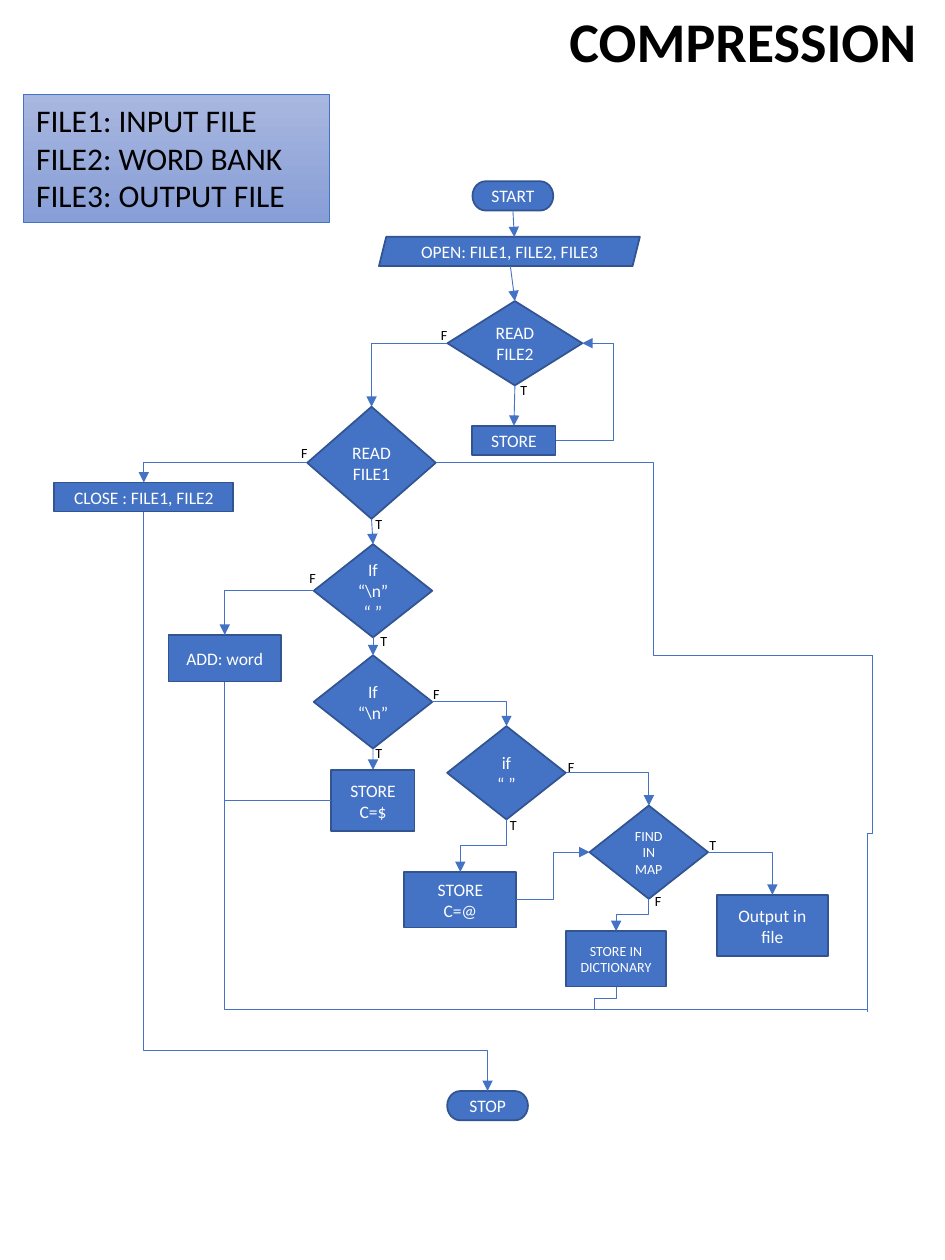
from dataclasses import dataclass

import pptx
import pptx.dml.color
import pptx.enum.shapes
import pptx.enum.text
import pptx.oxml
import pptx.oxml.ns
import pptx.util
from lxml import etree

Cm = pptx.util.Cm
Pt = pptx.util.Pt
RGB = pptx.dml.color.RGBColor.from_string
qn = pptx.oxml.ns.qn
Shape = pptx.enum.shapes.MSO_SHAPE
Connector = pptx.enum.shapes.MSO_CONNECTOR
Align = pptx.enum.text.PP_ALIGN
Anchor = pptx.enum.text.MSO_ANCHOR
AutoSize = pptx.enum.text.MSO_AUTO_SIZE
TOP, LEFT, BOTTOM, RIGHT = range(4)


@dataclass(frozen=True)
class Theme:
    font: str = "Calibri"
    node: str = "4472C4"
    outline: str = "325491"
    light: str = "FFFFFF"
    dark: str = "000000"
    legend_top: str = "A8B7DF"
    legend_bottom: str = "889ED7"
    title_size: int = 32
    legend_size: int = 18
    node_size: int = 10
    small_size: int = 8
    node_line: float = 1
    thin_line: float = 0.5


THEME = Theme()

DECISION = (2.39, 1.88)
BAR = (1.68, 0.59)
PILL = (1.63, 0.59)
BLOCK = (2.26, 1.12)
NODES = {
    "start": (Shape.FLOWCHART_TERMINATOR, 9.34, 0.45, PILL, ["START"]),
    "open": (Shape.PARALLELOGRAM, 9.27, 1.57, (5.26, 0.59), ["OPEN: FILE1, FILE2, FILE3"]),
    "read2": (Shape.DIAMOND, 9.38, 3.42, (2.72, 1.7), ["READ FILE2"]),
    "store": (Shape.RECTANGLE, 9.36, 5.38, BAR, ["STORE"]),
    "read1": (Shape.DIAMOND, 6.49, 5.83, (2.59, 2.26), ["READ FILE1"]),
    "close": (Shape.RECTANGLE, 1.9, 6.52, (3.61, 0.59), ["CLOSE : FILE1, FILE2"]),
    "if_break": (Shape.DIAMOND, 6.52, 8.41, DECISION, [r"If “\n”", "“ ”"]),
    "if_newline": (Shape.DIAMOND, 6.52, 10.65, DECISION, ["If", r"“\n”"]),
    "store_dollar": (Shape.RECTANGLE, 6.52, 12.64, (1.68, 1.24), ["STORE", "C=$"]),
    "if_space": (Shape.DIAMOND, 9.21, 12.08, DECISION, ["if", "“ ”"]),
    "store_at": (Shape.RECTANGLE, 8.28, 14.64, BLOCK, ["STORE", "C=@"]),
    "find": (Shape.DIAMOND, 12.08, 13.68, DECISION, ["FIND IN MAP"]),
    "dictionary": (Shape.RECTANGLE, 11.42, 15.83, (2.03, 1.12), ["STORE IN DICTIONARY"]),
    "output": (Shape.RECTANGLE, 14.57, 15.16, (2.24, 1.24), ["Output in", "file"]),
    "add": (Shape.RECTANGLE, 3.53, 9.77, (2.26, 0.94), ["ADD: word"]),
    "stop": (Shape.FLOWCHART_TERMINATOR, 8.83, 18.79, PILL, ["STOP"]),
}
SMALL_NODES = {"find", "dictionary"}

STRAIGHT_ARROWS = [
    ("start", (9.37, 1.28)),
    ((9.29, 1.87), "read2"),
    ("read2", "store"),
    ("read1", "if_break"),
    ("if_break", "if_newline"),
    ("if_newline", "store_dollar"),
]

ELBOW_ARROWS = [
    ("store", RIGHT, "read2", RIGHT, 2.18),
    ("read2", LEFT, "read1", TOP, None),
    ("read1", LEFT, "close", TOP, None),
    ("close", BOTTOM, "stop", TOP, 0.93),
    ("if_break", LEFT, "add", TOP, None),
    ("if_newline", RIGHT, "if_space", TOP, None),
    ("if_space", RIGHT, "find", TOP, None),
    ("if_space", BOTTOM, "store_at", TOP, 0.5),
    ("store_at", RIGHT, "find", LEFT, 0.5),
    ("find", RIGHT, "output", TOP, None),
    ("find", BOTTOM, "dictionary", TOP, 0.5),
]

RETURN_CORNER = (16.58, 9.71)
RETURN_LINES = [
    ("add", BOTTOM, (16.48, 16.85), LEFT, None),
    ("read1", RIGHT, RETURN_CORNER, LEFT, 0.5),
    (RETURN_CORNER, BOTTOM, (16.48, 16.9), TOP, 0.5),
    ("dictionary", BOTTOM, (10.99, 16.85), TOP, 0.5),
]

BRANCH_LABELS = {
    "T": [(9.24, 4.07), (6.32, 6.76), (6.42, 9.12), (6.32, 11.38), (9.03, 12.83), (13.05, 13.24)],
    "F": [(7.64, 2.95), (4.82, 5.34), (4.99, 7.85), (7.48, 10.19), (10.2, 11.66), (11.95, 14.36)],
}


def write(frame, lines, size, color, align=Align.LEFT, bold=False):
    frame.text = "\n".join(lines)
    for paragraph in frame.paragraphs:
        paragraph.alignment = align
        paragraph.font.name = THEME.font
        paragraph.font.size = Pt(size)
        paragraph.font.bold = bold
        paragraph.font.color.rgb = RGB(color)


def style_connector(connector, arrow):
    connector.line.color.rgb = RGB(THEME.node)
    connector.line.width = Pt(THEME.thin_line)
    properties = connector._element.spPr
    if arrow:
        etree.SubElement(properties.find(qn("a:ln")), qn("a:tailEnd"), type="triangle")
    etree.SubElement(properties, qn("a:effectLst"))


def add_title(slide, box):
    frame = slide.shapes.add_textbox(*map(Cm, box)).text_frame
    frame.word_wrap = True
    write(frame, ["COMPRESSION"], THEME.title_size, THEME.dark, bold=True)


def add_legend(slide, box):
    legend = slide.shapes.add_shape(Shape.RECTANGLE, *map(Cm, box))
    legend.shadow.inherit = False
    legend.fill.gradient()
    legend.fill.gradient_angle = 270
    for stop, color in zip(legend.fill.gradient_stops, (THEME.legend_top, THEME.legend_bottom)):
        stop.color.rgb = RGB(color)
    legend.line.color.rgb = RGB(THEME.node)
    legend.line.width = Pt(THEME.thin_line)
    legend.text_frame.vertical_anchor = Anchor.TOP
    write(legend.text_frame, ["FILE1: INPUT FILE", "FILE2: WORD BANK", "FILE3: OUTPUT FILE"],
          THEME.legend_size, THEME.dark)


def add_flowchart(slide, box):
    left, top = box[:2]
    nodes = {}

    def add_node(key, kind, x, y, size, lines):
        width, height = size
        node = slide.shapes.add_shape(kind, Cm(left + x - width / 2), Cm(top + y - height / 2),
                                      Cm(width), Cm(height))
        node.shadow.inherit = False
        node.fill.solid()
        node.fill.fore_color.rgb = RGB(THEME.node)
        node.line.color.rgb = RGB(THEME.outline)
        node.line.width = Pt(THEME.node_line)
        node.text_frame.vertical_anchor = Anchor.MIDDLE
        text_size = THEME.small_size if key in SMALL_NODES else THEME.node_size
        write(node.text_frame, lines, text_size, THEME.light, Align.CENTER)
        nodes[key] = node

    def locate(end, side):
        if end not in nodes:
            return Cm(left + end[0]), Cm(top + end[1])
        node = nodes[end]
        across, down = {TOP: (0.5, 0), LEFT: (0, 0.5), BOTTOM: (0.5, 1), RIGHT: (1, 0.5)}[side]
        return int(node.left + node.width * across), int(node.top + node.height * down)

    def connect(kind, start, start_side, end, end_side):
        connector = slide.shapes.add_connector(kind, *locate(start, start_side),
                                               *locate(end, end_side))
        if start in nodes:
            connector.begin_connect(nodes[start], start_side)
        if end in nodes:
            connector.end_connect(nodes[end], end_side)
        return connector

    def add_straight(start, start_side, end, end_side, arrow):
        style_connector(connect(Connector.STRAIGHT, start, start_side, end, end_side), arrow)

    def add_elbow(start, start_side, end, end_side, bend, arrow):
        connector = connect(Connector.ELBOW, start, start_side, end, end_side)
        (x1, y1), (x2, y2) = locate(start, start_side), locate(end, end_side)
        run, drop = x2 - x1, y2 - y1
        width, height = abs(run), abs(drop)
        if start_side in (TOP, BOTTOM):
            width, height = height, width
            turn, flip_h, flip_v = (270, True, False) if run > 0 else (90, False, False)
        else:
            turn, flip_h, flip_v = (180 if run < 0 else 0), False, (run < 0) != (drop < 0)
        connector.left = int((x1 + x2 - width) / 2)
        connector.top = int((y1 + y2 - height) / 2)
        connector.width, connector.height = width, height
        frame = connector._element.spPr.find(qn("a:xfrm"))
        frame.set("rot", str(turn * 60000))
        frame.set("flipH", str(int(flip_h)))
        frame.set("flipV", str(int(flip_v)))
        geometry = connector._element.spPr.find(qn("a:prstGeom"))
        if bend is None:
            geometry.set("prst", "bentConnector2")
        else:
            etree.SubElement(geometry.find(qn("a:avLst")), qn("a:gd"),
                             name="adj1", fmla=f"val {round(bend * 100000)}")
        style_connector(connector, arrow)

    for key, node in NODES.items():
        add_node(key, *node)
    for start, end in STRAIGHT_ARROWS:
        add_straight(start, BOTTOM, end, TOP, True)
    add_straight("store_dollar", LEFT, (3.53, 12.64), RIGHT, False)
    for route in ELBOW_ARROWS:
        add_elbow(*route, arrow=True)
    for route in RETURN_LINES:
        add_elbow(*route, arrow=False)
    for letter, places in BRANCH_LABELS.items():
        for x, y in places:
            frame = slide.shapes.add_textbox(Cm(left + x), Cm(top + y), Cm(0.66), Cm(0.61)).text_frame
            frame.word_wrap = False
            frame.auto_size = AutoSize.SHAPE_TO_FIT_TEXT
            write(frame, [letter], THEME.small_size, THEME.dark)


def main():
    deck = pptx.Presentation()
    deck.slide_width, deck.slide_height = Cm(19.05), Cm(25.4)
    slide = deck.slides.add_slide(deck.slide_layouts[6])
    add_flowchart(slide, (1, 3.5, 16.6, 19.1))
    add_legend(slide, (0.48, 1.91, 6.17, 2.57))
    add_title(slide, (11.23, 0, 8.84, 1.63))
    deck.save("out.pptx")


if __name__ == "__main__":
    main()
